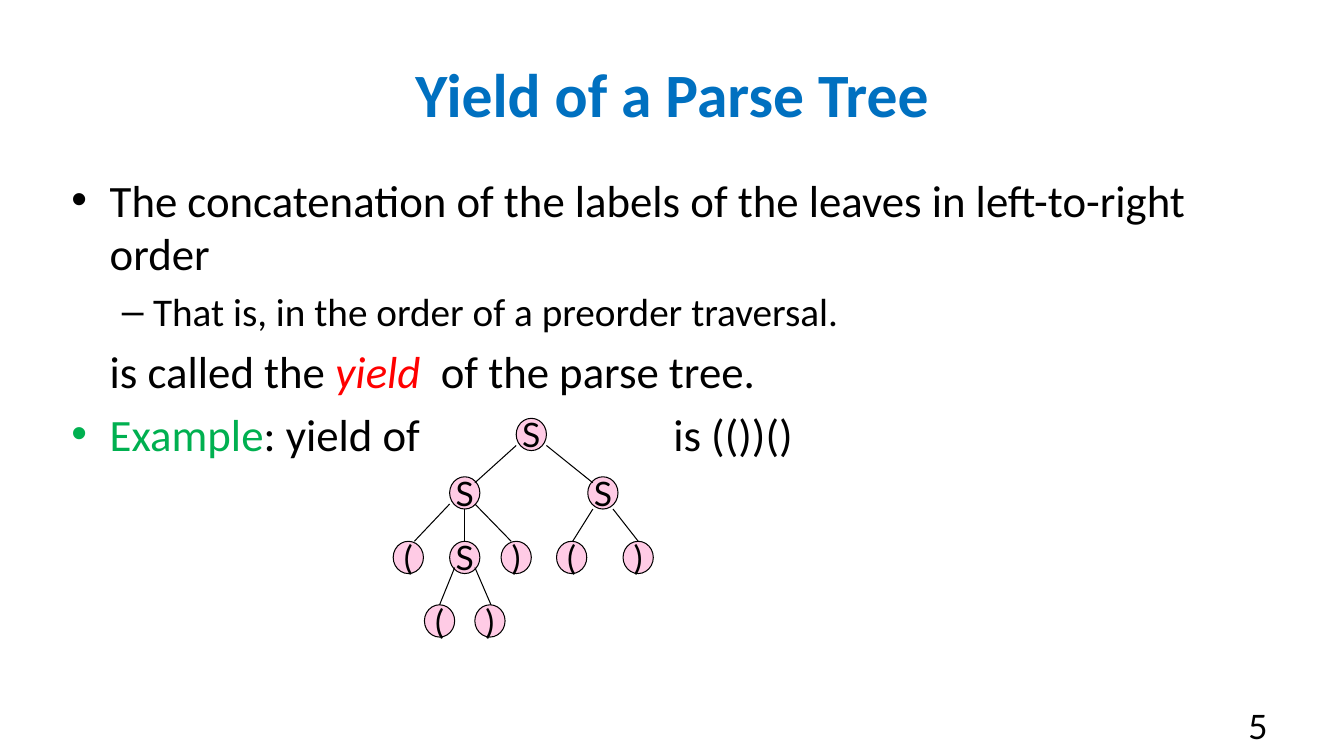
from lxml.etree import SubElement
from pptx import Presentation
from pptx.dml.color import RGBColor
from pptx.enum.shapes import MSO_CONNECTOR, MSO_SHAPE
from pptx.enum.text import MSO_ANCHOR, PP_ALIGN
from pptx.oxml.ns import qn
from pptx.util import Inches, Pt


def style(font, size, color, name="Calibri"):
    font.name = name
    font.size = Pt(size)
    font.color.rgb = RGBColor.from_string(color)


def add_text_box(left, top, width, height):
    box = slide.shapes.add_textbox(Inches(left), Inches(top), Inches(width), Inches(height))
    box.text_frame.word_wrap = True
    return box.text_frame


prs = Presentation()
prs.slide_width, prs.slide_height = Inches(13.33), Inches(7.5)
slide = prs.slides.add_slide(prs.slide_layouts[5])

title = slide.shapes.title
title.left, title.top = Inches(0.67), Inches(0.3)
title.width, title.height = Inches(12), Inches(1.25)
title.text_frame.text = "Yield of a Parse Tree"
title.text_frame.vertical_anchor = MSO_ANCHOR.MIDDLE
heading = title.text_frame.paragraphs[0]
heading.alignment = PP_ALIGN.CENTER
style(heading.runs[0].font, 44, "0070C0")
heading.runs[0].font.bold = True

page_number = add_text_box(9.56, 6.95, 3.11, 0.4).paragraphs[0]
page_number.text = "5"
page_number.alignment = PP_ALIGN.RIGHT
style(page_number.runs[0].font, 24, "000000", "Lato")

# level, left margin, first-line indent, bullet, size, (text, color) runs
definition = [
    (0, 0.38, -0.38, "•", 32,
     [("The concatenation of the labels of the leaves in left-to-right order", "000000")]),
    (1, 0.81, -0.31, "–", 28,
     [("That is, in the order of a preorder traversal.", "000000")]),
    (0, 0.38, 0, None, 32,
     [("is called the ", "000000"), ("yield", "FF0000"), ("  of the parse tree.", "000000")]),
    (0, 0.38, -0.38, "•", 32,
     [("Example", "00B050"), (": yield of", "000000")]),
]
body = add_text_box(0.61, 1.66, 12, 4.95)
for index, (level, margin, indent, bullet, size, runs) in enumerate(definition):
    paragraph = body.add_paragraph() if index else body.paragraphs[0]
    paragraph.level = level
    if index:
        paragraph.space_before = Pt(0.2 * size)
    properties = paragraph._p.get_or_add_pPr()
    properties.set("marL", str(Inches(margin)))
    properties.set("indent", str(Inches(indent)))
    if bullet:
        SubElement(properties, qn("a:buFont"), typeface="Arial")
        SubElement(properties, qn("a:buChar"), char=bullet)
    else:
        SubElement(properties, qn("a:buNone"))
    for text, color in runs:
        run = paragraph.add_run()
        run.text = text
        style(run.font, size, color)
        run.font.italic = text == "yield"

# The example sentence continues to the right of the tree
example_yield = add_text_box(6.58, 3.99, 3, 0.64).paragraphs[0]
example_yield.text = "is (())()"
style(example_yield.runs[0].font, 32, "000000")

tree_levels = [
    (4.15, [("S", 5.12)]),
    (4.73, [("S", 4.46), ("S", 5.83)]),
    (5.37, [("(", 3.9), ("S", 4.46), (")", 4.97), ("(", 5.52), (")", 6.18)]),
    (6, [("(", 4.21), (")", 4.71)]),
]
for top, nodes in tree_levels:
    for label, left in nodes:
        node = slide.shapes.add_shape(
            MSO_SHAPE.OVAL, Inches(left), Inches(top), Inches(0.3), Inches(0.32))
        node.shadow.inherit = False
        node.fill.solid()
        node.fill.fore_color.rgb = RGBColor.from_string("FF99CC")
        fill_color = node._element.spPr.find(qn("a:solidFill"))[0]
        SubElement(fill_color, qn("a:alpha"), val="50000")
        node.line.color.rgb = RGBColor.from_string("000000")
        node.line.width = Pt(0.75)
        frame = node.text_frame
        frame.text = label
        frame.word_wrap = False
        frame.vertical_anchor = MSO_ANCHOR.MIDDLE
        frame.paragraphs[0].alignment = PP_ALIGN.CENTER
        style(frame.paragraphs[0].runs[0].font, 24, "000000", "Lato")

# start height, end height, (start x, end x) of each branch
branch_levels = [
    (4.42, 4.79, [(5.12, 4.71), (5.42, 5.88)]),
    (5, 5.37, [(4.46, 4.11), (4.71, 5.07)]),
    (5.05, 5.37, [(4.61, 4.61), (5.88, 5.68), (6.08, 6.33)]),
    (5.63, 6, [(4.51, 4.36), (4.71, 4.87)]),
]
for start_y, end_y, branches in branch_levels:
    for start_x, end_x in branches:
        branch = slide.shapes.add_connector(
            MSO_CONNECTOR.STRAIGHT,
            Inches(start_x), Inches(start_y), Inches(end_x), Inches(end_y))
        branch.line.color.rgb = RGBColor.from_string("000000")
        branch.line.width = Pt(0.75)
        SubElement(branch._element.spPr, qn("a:effectLst"))

prs.save("out.pptx")
